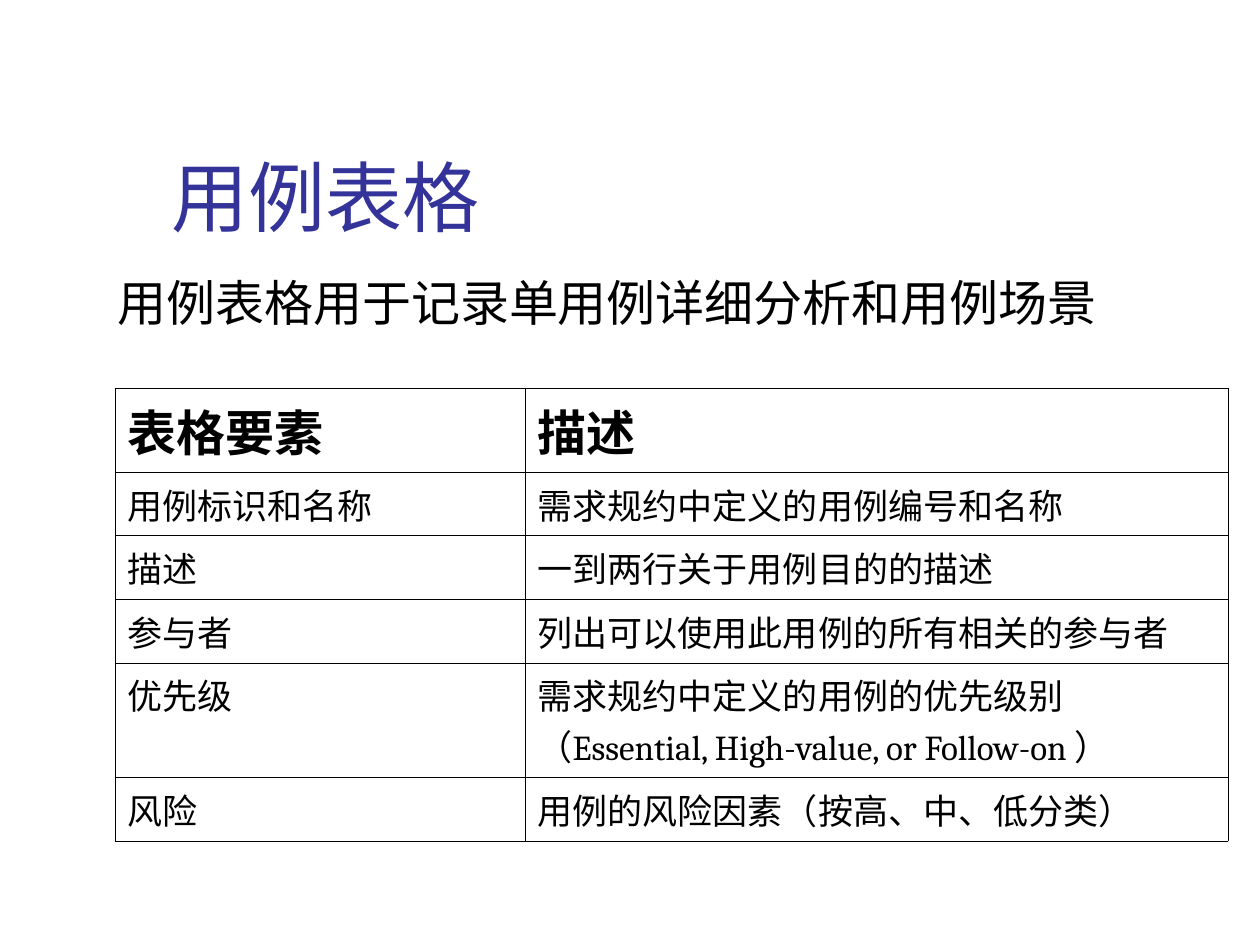
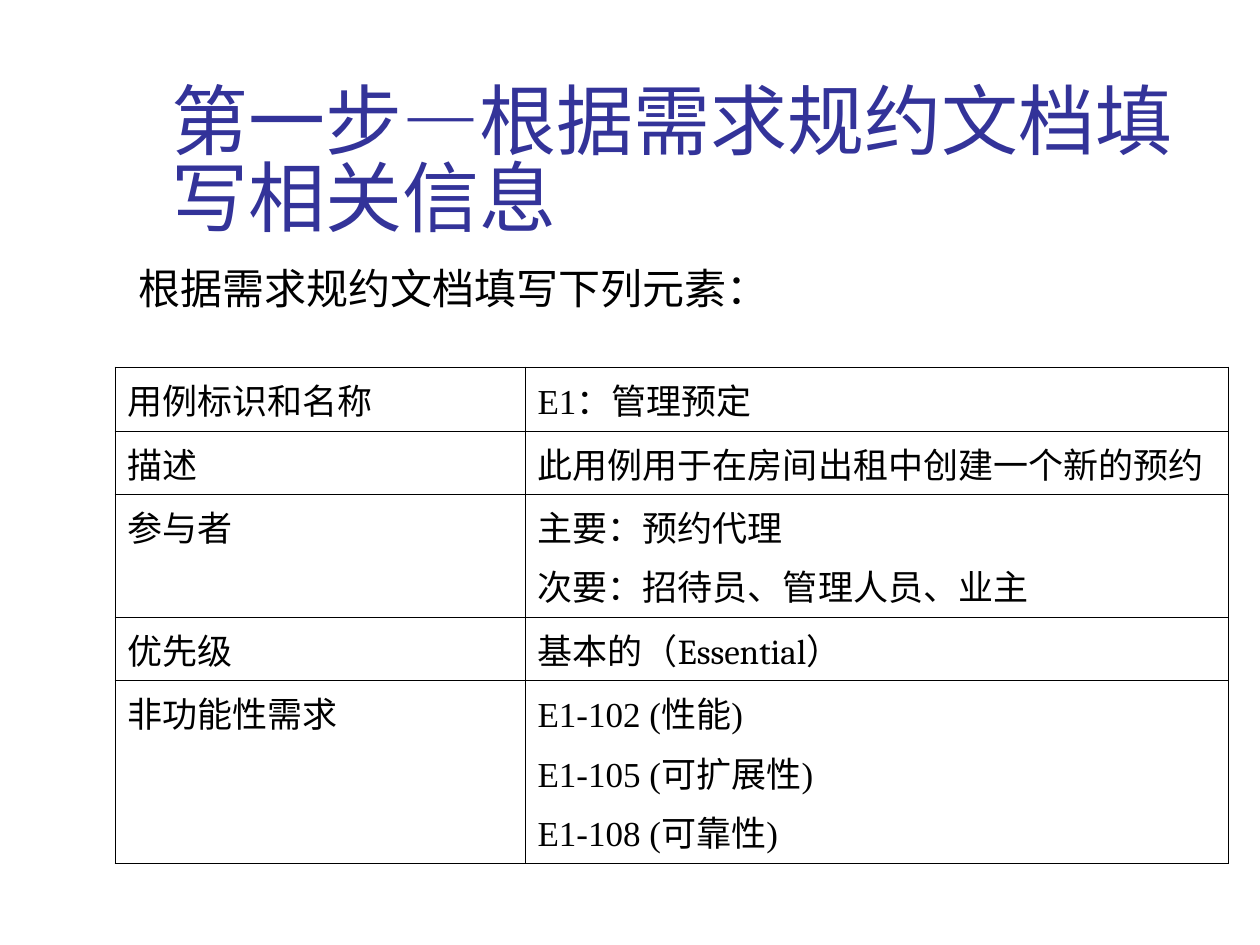
from lxml.etree import SubElement
from pptx import Presentation
from pptx.dml.color import RGBColor
from pptx.enum.text import MSO_ANCHOR, MSO_AUTO_SIZE, PP_ALIGN
from pptx.oxml.ns import qn
from pptx.util import Pt

EMU_PER_PX = 914400 / 126
CJK, SANS, SERIF, BOOK = "Noto Sans CJK SC", "Lato", "Times New Roman", "Cambria"
INK, TITLE_BLUE = "000000", "333399"
TITLE_BOX = (159, 84, 1074, 158)
COLUMNS = (410, 703)
TABLE_LEFT = 115


def px(length):
    return round(length * EMU_PER_PX)


def colour(value):
    return RGBColor.from_string(value)


def write(frame, paragraphs, size, font=CJK, ink=INK, bold=False,
          gap=0, spacing=None, hanging=0):
    frame.word_wrap = True
    for number, runs in enumerate(paragraphs):
        paragraph = frame.add_paragraph() if number else frame.paragraphs[0]
        paragraph.alignment = PP_ALIGN.LEFT
        paragraph.space_before = Pt(gap if number else 0)
        if spacing:
            paragraph.line_spacing = spacing
        if hanging:
            properties = paragraph._p.get_or_add_pPr()
            properties.set("marL", str(px(hanging)))
            properties.set("indent", str(-px(hanging)))
            SubElement(properties, qn("a:buNone"))
        for words, face in [(runs, font)] if isinstance(runs, str) else runs:
            run = paragraph.add_run()
            run.text = words
            run.font.size = Pt(size)
            run.font.bold = bold
            run.font.color.rgb = colour(ink)
            run.font.name = face
            SubElement(run._r.get_or_add_rPr(), qn("a:ea"), typeface=CJK)


def place(holder, box):
    holder.left, holder.top, holder.width, holder.height = map(px, box)
    holder.text_frame.auto_size = MSO_AUTO_SIZE.NONE
    return holder.text_frame


def add_heading(slide, title):
    frame = place(slide.shapes.title, TITLE_BOX)
    frame.vertical_anchor = MSO_ANCHOR.BOTTOM
    frame.margin_bottom = 0
    write(frame, [title], 44, ink=TITLE_BLUE, spacing=0.83)


def add_intro(slide, intro, box, size):
    frame = place(slide.placeholders[1], box)
    write(frame, [intro], size, spacing=0.9, hanging=48)


def outline(cell):
    properties = cell._tc.get_or_add_tcPr()
    for side in ("lnL", "lnR", "lnT", "lnB"):
        line = SubElement(properties, qn(f"a:{side}"), w=str(Pt(0.45)))
        fill = SubElement(line, qn("a:solidFill"))
        SubElement(fill, qn("a:srgbClr"), val=INK)
    cell.fill.background()


def add_use_case_table(slide, top, rows, heights, header=False):
    table = slide.shapes.add_table(
        len(rows), len(COLUMNS), px(TABLE_LEFT), px(top),
        px(sum(COLUMNS)), px(sum(heights))).table
    table.first_row = table.horz_banding = False
    for column, width in zip(table.columns, COLUMNS):
        column.width = px(width)
    for number, (element, description) in enumerate(rows):
        table.rows[number].height = px(heights[number])
        is_header = header and number == 0
        size = 28 if is_header else 20
        element_font = SANS if is_header else SERIF
        for column, (paragraphs, font) in enumerate(
                (([element], element_font), (description, SANS))):
            cell = table.cell(number, column)
            outline(cell)
            write(cell.text_frame, paragraphs, size, font=font,
                  bold=is_header, gap=5)


def build_slide(deck, title, intro, intro_box, intro_size, **table):
    slide = deck.slides.add_slide(deck.slide_layouts[1])
    add_heading(slide, title)
    add_intro(slide, intro, intro_box, intro_size)
    add_use_case_table(slide, **table)


def main():
    deck = Presentation()
    deck.slide_width, deck.slide_height = px(1260), px(945)
    build_slide(
        deck, "用例表格", "用例表格用于记录单用例详细分析和用例场景",
        (105, 273, 1071, 95), 28,
        top=388, heights=(84, 63, 64, 63, 114, 64), header=True,
        rows=[
            ("表格要素", ["描述"]),
            ("用例标识和名称", ["需求规约中定义的用例编号和名称"]),
            ("描述", ["一到两行关于用例目的的描述"]),
            ("参与者", ["列出可以使用此用例的所有相关的参与者"]),
            ("优先级", [[("需求规约中定义的用例的优先级别（", SANS),
                      ("Essential, High-value, or Follow-on ", BOOK),
                      ("）", SANS)]]),
            ("风险", [[("用例的风险因素（按高、中、低分类）", CJK)]]),
        ])
    build_slide(
        deck, "第一步—根据需求规约文档填写相关信息",
        "根据需求规约文档填写下列元素：", (126, 262, 1071, 73), 24,
        top=367, heights=(64, 63, 123, 63, 183),
        rows=[
            ("用例标识和名称", [[("E1", SERIF), ("：管理预定", SANS)]]),
            ("描述", ["此用例用于在房间出租中创建一个新的预约"]),
            ("参与者", ["主要：预约代理", "次要：招待员、管理人员、业主"]),
            ("优先级", [[("基本的（", SANS), ("Essential）", BOOK)]]),
            ("非功能性需求", [[(requirement, SERIF)] for requirement in (
                "E1-102 (性能)", "E1-105 (可扩展性)", "E1-108 (可靠性)")]),
        ])
    deck.save("out.pptx")


if __name__ == "__main__":
    main()
